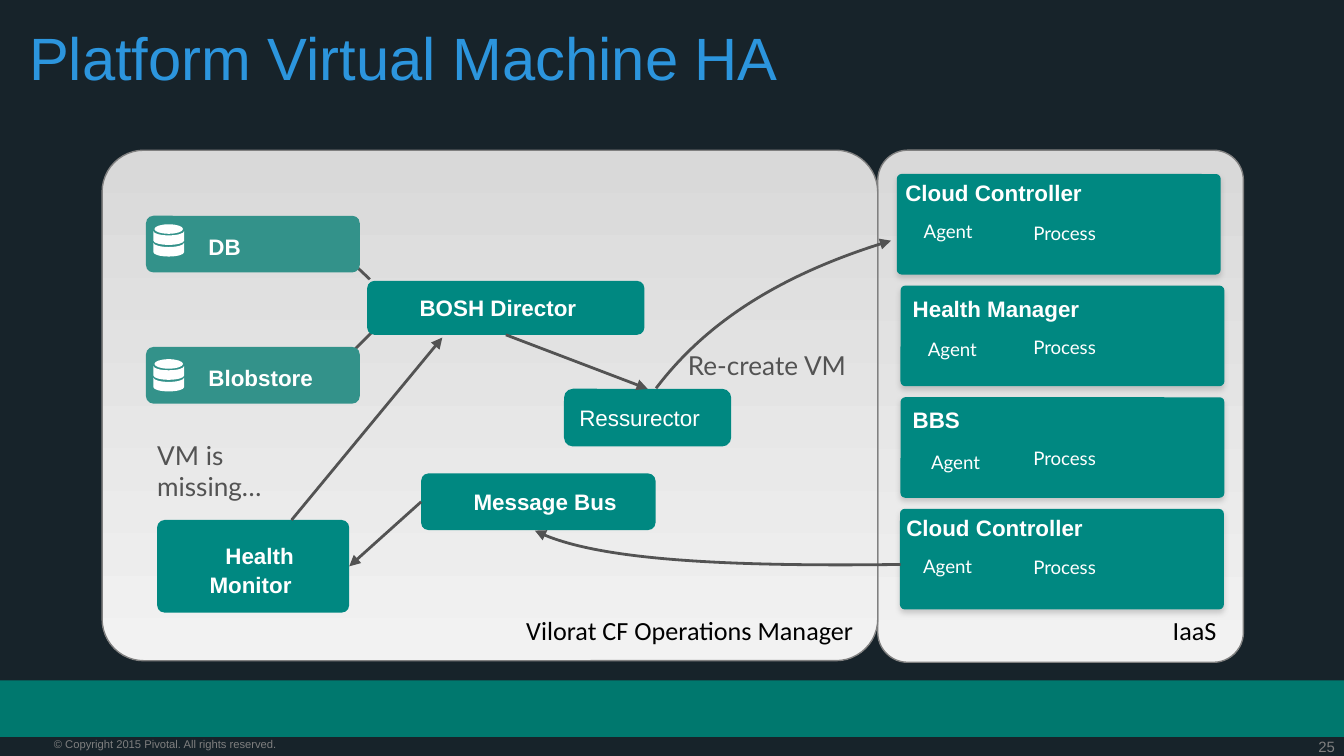
import pptx
import pptx.dml.color
import pptx.enum.shapes
import pptx.enum.text
import pptx.oxml.ns
import pptx.util
from lxml import etree

Cm = pptx.util.Cm
qn = pptx.oxml.ns.qn
SHAPES = pptx.enum.shapes.MSO_SHAPE
ALIGN = pptx.enum.text.PP_ALIGN
ANCHOR = pptx.enum.text.MSO_ANCHOR

COLORS = {
    "background": "17232A", "band": "00786E", "title": "2C95DD",
    "teal": "008881", "store": "33928A", "line": "535353",
    "border": "808080", "footer": "7F7F7F", "white": "FFFFFF",
    "black": "000000", "panel top": "D9D9D9", "panel bottom": "F2F2F2",
}

# All lengths are in centimetres.
# panel: left, top, width, height; label: text, left, width
PANELS = [
    ((16.59, 2.84, 6.91, 9.68), ("IaaS", 19.13, 4.11)),
    ((1.93, 2.84, 14.66, 9.65), ("Vilorat CF Operations Manager", 7.21, 9.17)),
]
STORE_LINKS = [(6.45, 6.86, 7.01, 6.3), (6.43, 4.75, 6.99, 5.28)]

# lines, place, colour, corner radius, left inset, top inset, first indent, bold
BOXES = [
    (["Blobstore"], (2.76, 6.56, 4.04, 1.07), "store", 0.14, 1.14, 0.1, 0, True),
    (["DB"], (2.76, 4.08, 4.04, 1.07), "store", 0.14, 1.14, 0.1, 0, True),
    (["Health", "Monitor"], (2.97, 9.83, 3.63, 1.75), "teal", 0.14, 0.95, 0.14, 0.3, True),
    (["BOSH Director"], (6.94, 5.31, 5.24, 1.02), "teal", 0.14, 0.95, 0, 0, True),
    (["Message Bus"], (7.96, 8.95, 4.43, 1.07), "teal", 0.14, 0.95, 0, 0, True),
    (["Ressurector"], (10.66, 7.35, 3.16, 1.09), "teal", 0.17, 0.24, 0, 0, False),
]
DATABASE_ICONS = [(2.9, 6.79), (2.9, 4.24)]

CARD_TOP, CARD_STEP, CARD_WIDTH, CARD_HEIGHT = 3.29, 2.11, 6.12, 1.9
# name, card left, name left and top, agent right and top, process top
CARDS = [
    ("Cloud Controller", 16.95, 17.11, 3.38, 18.38, 4.15, 4.19),
    ("Health Manager", 17.02, 17.25, 5.57, 18.46, 6.38, 6.35),
    ("BBS", 17.02, 17.25, 7.67, 18.52, 8.52, 8.44),
    ("Cloud Controller", 17.01, 17.13, 9.71, 18.37, 10.49, 10.5),
]
# start, then two control points and the end
CURVES = [
    ((17.02, 10.67), [(13.34, 10.72), (11.05, 10.52), (10.11, 10.03)]),
    ((12.4, 7.34), [(13.34, 6.1), (14.81, 5.16), (16.84, 4.55)]),
]
NOTES = [
    (["Re-create VM"], (13, 6.6, 3.35, 0.81)),
    (["VM is", "missing…"], (2.97, 8.3, 3.63, 1.45)),
]

presentation = pptx.Presentation()
presentation.slide_width, presentation.slide_height = Cm(25.4), Cm(14.29)
slide = presentation.slides.add_slide(presentation.slide_layouts[6])


def color(name):
    return pptx.dml.color.RGBColor.from_string(COLORS[name])


def paint(fill, name):
    fill.solid()
    fill.fore_color.rgb = color(name)


def write(shape, lines, size, font, name, bold=False, align=ALIGN.LEFT,
          insets=(0, 0, 0, 0)):
    """Fill the shape with one paragraph per line; insets go left, top, right, bottom."""
    frame = shape.text_frame
    frame.word_wrap = True
    (frame.margin_left, frame.margin_top,
     frame.margin_right, frame.margin_bottom) = map(Cm, insets)
    frame.text = "\n".join(lines)
    for paragraph in frame.paragraphs:
        paragraph.alignment = align
        paragraph.font.size = pptx.util.Pt(size)
        paragraph.font.name = font
        paragraph.font.bold = bold
        paragraph.font.color.rgb = color(name)


def add_text(place, *args, **options):
    write(slide.shapes.add_textbox(*map(Cm, place)), *args, **options)


def add_block(place, fill=None, radius=0):
    kind = SHAPES.ROUNDED_RECTANGLE if radius else SHAPES.RECTANGLE
    shape = slide.shapes.add_shape(kind, *map(Cm, place))
    if radius:
        shape.adjustments[0] = radius / min(place[2:])
    shape.shadow.inherit = False
    shape.line.fill.background()
    if fill:
        paint(shape.fill, fill)
    return shape


def style_line(shape, arrow):
    shape.line.color.rgb = color("line")
    shape.line.width = pptx.util.Pt(1.5)
    if arrow:
        line = shape.element.spPr.find(qn("a:ln"))
        etree.SubElement(line, qn("a:tailEnd"), type="triangle")


def add_line(points, arrow=True):
    connector = slide.shapes.add_connector(
        pptx.enum.shapes.MSO_CONNECTOR.STRAIGHT, *map(Cm, points))
    style_line(connector, arrow)
    etree.SubElement(connector.element.spPr, qn("a:effectLst"))
    return connector


def join(start, start_side, end, end_side):
    connector = add_line((0, 0, 1, 1))
    connector.begin_connect(start, start_side)
    connector.end_connect(end, end_side)


def add_outline(contours, closed):
    """Draw (start, segments) contours; a segment of three points is a Bézier curve."""
    builder = slide.shapes.build_freeform(*map(Cm, contours[0][0]))
    for number, (start, segments) in enumerate(contours):
        if number:
            builder.move_to(*map(Cm, start))
        points = [(Cm(x), Cm(y)) for segment in segments for x, y in segment]
        builder.add_line_segments(points, close=closed)
    shape = builder.convert_to_shape()
    shape.shadow.inherit = False
    steps = iter(list(shape.element.iter(qn("a:lnTo"))))
    for _, segments in contours:
        for segment in segments:
            curve = next(steps)
            if len(segment) == 3:
                curve.tag = qn("a:cubicBezTo")
                for _ in range(2):
                    extra = next(steps)
                    curve.append(extra[0])
                    extra.getparent().remove(extra)
    return shape


def add_curve(start, segment):
    shape = add_outline([(start, [segment])], closed=False)
    shape.fill.background()
    style_line(shape, arrow=True)


def half_ellipse(x, y, radius_x, radius_y):
    """Give two quarter curves from (x - radius_x, y) to the opposite end.

    A positive radius_y bends down, and a negative radius_x runs right to left.
    """
    k = 0.45
    bottom = y + radius_y
    return [
        [(x - radius_x, y + radius_y * (1 - k)), (x - radius_x * (1 - k), bottom), (x, bottom)],
        [(x + radius_x * (1 - k), bottom), (x + radius_x, y + radius_y * (1 - k)), (x + radius_x, y)],
    ]


def add_database(left, top):
    """Draw two curved bands and a lid."""
    middle, right = left + 0.29, left + 0.58
    contours = []
    for y in (top + 0.35, top + 0.13):
        low = y + 0.18
        contours.append(((left, y), half_ellipse(middle, y, 0.29, 0.08) + [[(right, low)]]
                         + half_ellipse(middle, low, -0.29, 0.08)))
    lid = top + 0.09
    contours.append(((middle - 0.27, lid), half_ellipse(middle, lid, 0.27, -0.09)
                     + half_ellipse(middle, lid, -0.27, 0.09)))
    shape = add_outline(contours, closed=True)
    paint(shape.fill, "white")
    shape.line.fill.background()


def add_card_shadow(shape):
    effects = shape.element.spPr.find(qn("a:effectLst"))
    shadow = etree.SubElement(effects, qn("a:outerShdw"), blurRad="38100",
                              dist="22860", dir="5400000", rotWithShape="0")
    tint = etree.SubElement(shadow, qn("a:srgbClr"), val=COLORS["border"])
    etree.SubElement(tint, qn("a:alpha"), val="35000")


paint(slide.background.fill, "background")
add_block((0, 12.86, 25.4, 1.07), "band")
add_text((23.76, 13.94, 1.47, 0.36), ["25"], 8, "Arial", "footer", align=ALIGN.RIGHT)
add_text((1.02, 13.94, 6.32, 0.25), ["© Copyright 2015 Pivotal. All rights reserved."],
         6, "Arial", "footer")
add_text((0.3, 0.28, 23.37, 1.47), ["Platform Virtual Machine HA"], 32, "Arial", "title",
         insets=(0.25, 0.12, 0.25, 0))

for place, (label, left, width) in PANELS:
    panel = add_block(place, radius=0.082 * min(place[2:]))
    panel.fill.gradient()
    panel.fill.gradient_angle = 270
    for stop, name in zip(panel.fill.gradient_stops, ("panel top", "panel bottom")):
        stop.color.rgb = color(name)
    panel.line.color.rgb = color("border")
    panel.line.width = pptx.util.Pt(0.75)
    add_text((left, 11.48, width, 1.04), [label], 14, "Calibri", "black",
             align=ALIGN.RIGHT, insets=(0.25, 0.13, 0.25, 0.13))

for link in STORE_LINKS:
    add_line(link, arrow=False)

boxes = {}
for lines, place, fill, radius, inset, inset_top, indent, bold in BOXES:
    box = add_block(place, fill, radius)
    write(box, lines, 12, "Arial", "white", bold, insets=(inset, inset_top, 0, 0))
    box.text_frame.vertical_anchor = ANCHOR.MIDDLE
    if indent:
        box.text_frame.paragraphs[0]._p.get_or_add_pPr().set("indent", str(Cm(indent)))
    for paragraph in box.text_frame.paragraphs[1:]:
        paragraph.space_before = pptx.util.Pt(1)
    boxes[" ".join(lines)] = box
for corner in DATABASE_ICONS:
    add_database(*corner)

for row, (name, left, name_left, name_top, agent_right, agent_top, process_top) in enumerate(CARDS):
    card = add_block((left, CARD_TOP + row * CARD_STEP, CARD_WIDTH, CARD_HEIGHT), "teal", 0.09)
    add_card_shadow(card)
    add_text((name_left, name_top, 5.6, 0.48), [name], 12, "Arial", "white", True)
    for word, right, top in (("Agent", agent_right, agent_top), ("Process", 20.71, process_top)):
        add_text((right - 1.8, top, 1.8, 0.76), [word], 10, "Lato", "white", align=ALIGN.RIGHT)

join(boxes["Message Bus"], 1, boxes["Health Monitor"], 3)
join(boxes["BOSH Director"], 2, boxes["Ressurector"], 0)
add_line((5.51, 9.83, 8.36, 6.38))
for start, segment in CURVES:
    add_curve(start, segment)
for lines, place in NOTES:
    add_text(place, lines, 14, "Lato", "line")

presentation.save("out.pptx")
